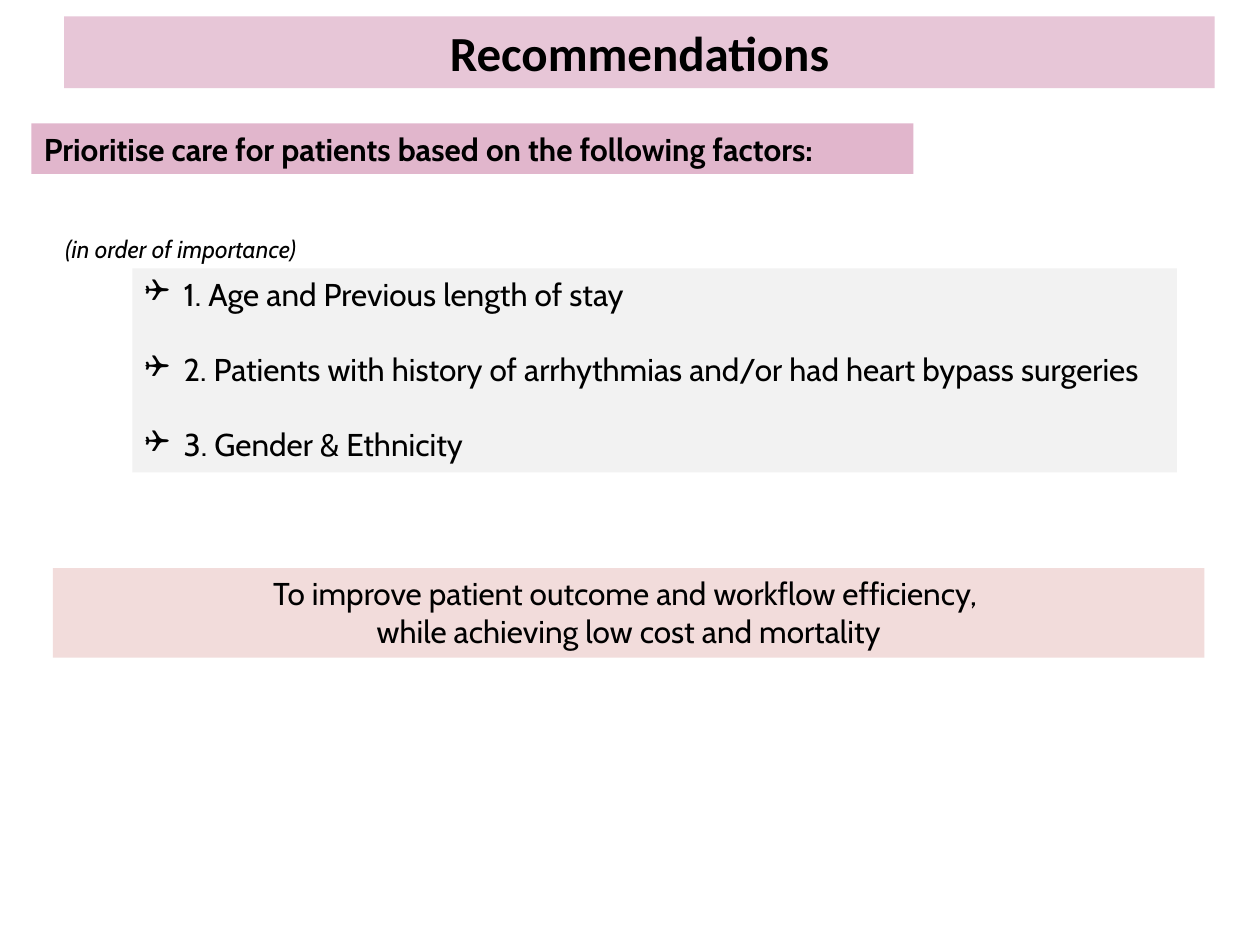
from lxml.etree import SubElement
from pptx import Presentation
from pptx.dml.color import RGBColor
from pptx.enum.shapes import MSO_SHAPE as Shape
from pptx.enum.text import MSO_ANCHOR as Anchor, PP_ALIGN as Align
from pptx.oxml.ns import qn
from pptx.util import Inches, Pt

COLORS = {"pink": "DEAFC7", "rose": "F2DCDB", "grey": "F2F2F2", "text": "000000"}


def color(name):
    return RGBColor.from_string(COLORS[name])


def add_band(page, box, fill, opacity=100):
    """Add a borderless rectangle and return its text frame."""
    band = page.shapes.add_shape(Shape.RECTANGLE, *map(Inches, box))
    band.shadow.inherit = False
    band.fill.solid()
    band.fill.fore_color.rgb = color(fill)
    band.line.fill.background()
    if opacity < 100:
        tint = band.fill._xPr.find(".//" + qn("a:srgbClr"))
        SubElement(tint, qn("a:alpha"), val=str(opacity * 1000))
    frame = band.text_frame
    frame.word_wrap = True
    frame.vertical_anchor = Anchor.TOP
    return frame


def add_bullet(para, sign, indent):
    props = para._p.get_or_add_pPr()
    props.set("marL", str(Inches(indent)))
    props.set("indent", str(-Inches(indent)))
    SubElement(props, qn("a:buFont"), typeface="Wingdings")
    SubElement(props, qn("a:buChar"), char=sign)


def write_lines(frame, lines, size=18, font="Cabin", align=Align.LEFT,
                bold=False, italic=False, bullet=None, gap=0):
    for index, line in enumerate(lines):
        para = frame.add_paragraph() if index else frame.paragraphs[0]
        para.alignment = align
        if index and gap:
            para.space_before = Pt(gap)
        if bullet:
            add_bullet(para, bullet, 0.31)
        span = para.add_run()
        span.text = line
        span.font.name = font
        span.font.size = Pt(size)
        span.font.bold = bold
        span.font.italic = italic
        span.font.color.rgb = color("text")


def add_title(page, box):
    write_lines(add_band(page, box, "pink", 70), ["Recommendations"],
                size=28, font="Calibri", align=Align.CENTER, bold=True)


def add_goal(page, box):
    write_lines(add_band(page, box, "rose"),
                ["To improve patient outcome and workflow efficiency, ",
                 "while achieving low cost and mortality"], align=Align.CENTER)


def add_heading(page, box):
    write_lines(add_band(page, box, "pink", 90),
                ["Prioritise care for patients based on the following factors:"],
                bold=True)


def add_factors(page, box):
    """Add the checklist with its note just above the left side."""
    left, top, _, _ = box
    write_lines(add_band(page, box, "grey"),
                ["1. Age and Previous length of stay",
                 "2. Patients with history of arrhythmias and/or had heart bypass surgeries",
                 "3. Gender & Ethnicity"], bullet="❑", gap=21.5)
    note = page.shapes.add_textbox(Inches(left - 0.63), Inches(top - 0.32),
                                   Inches(3), Inches(0.34))
    note.text_frame.word_wrap = True
    write_lines(note.text_frame, ["(in order of importance)"], size=14, italic=True)


def main():
    deck = Presentation()
    deck.slide_width, deck.slide_height = Inches(10), Inches(7.5)
    page = deck.slides.add_slide(deck.slide_layouts[6])
    add_title(page, (0.51, 0.13, 9.13, 0.57))
    add_goal(page, (0.42, 4.51, 9.14, 0.71))
    add_heading(page, (0.25, 0.98, 7, 0.4))
    add_factors(page, (1.05, 2.13, 8.29, 1.62))
    deck.save("out.pptx")


if __name__ == "__main__":
    main()
